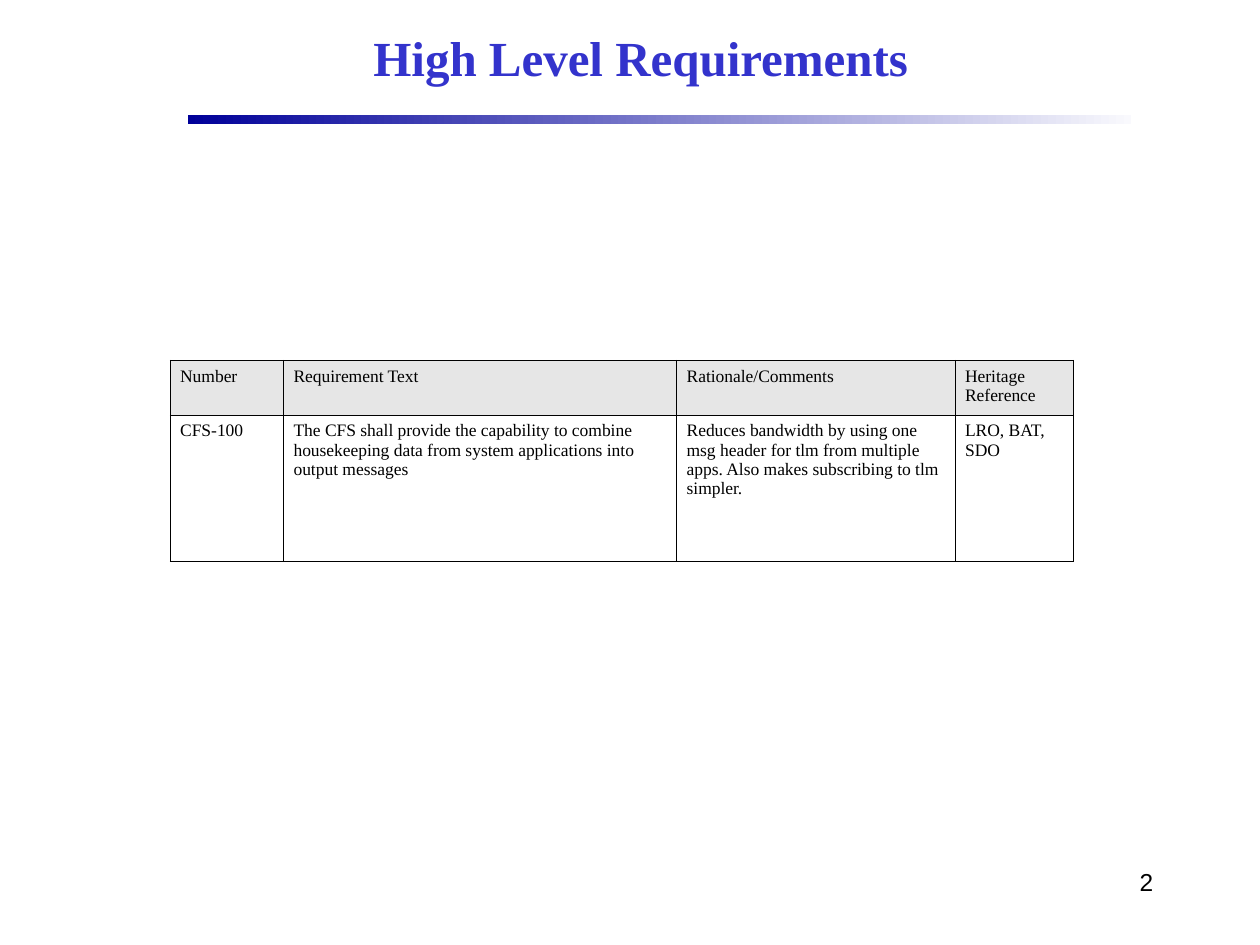
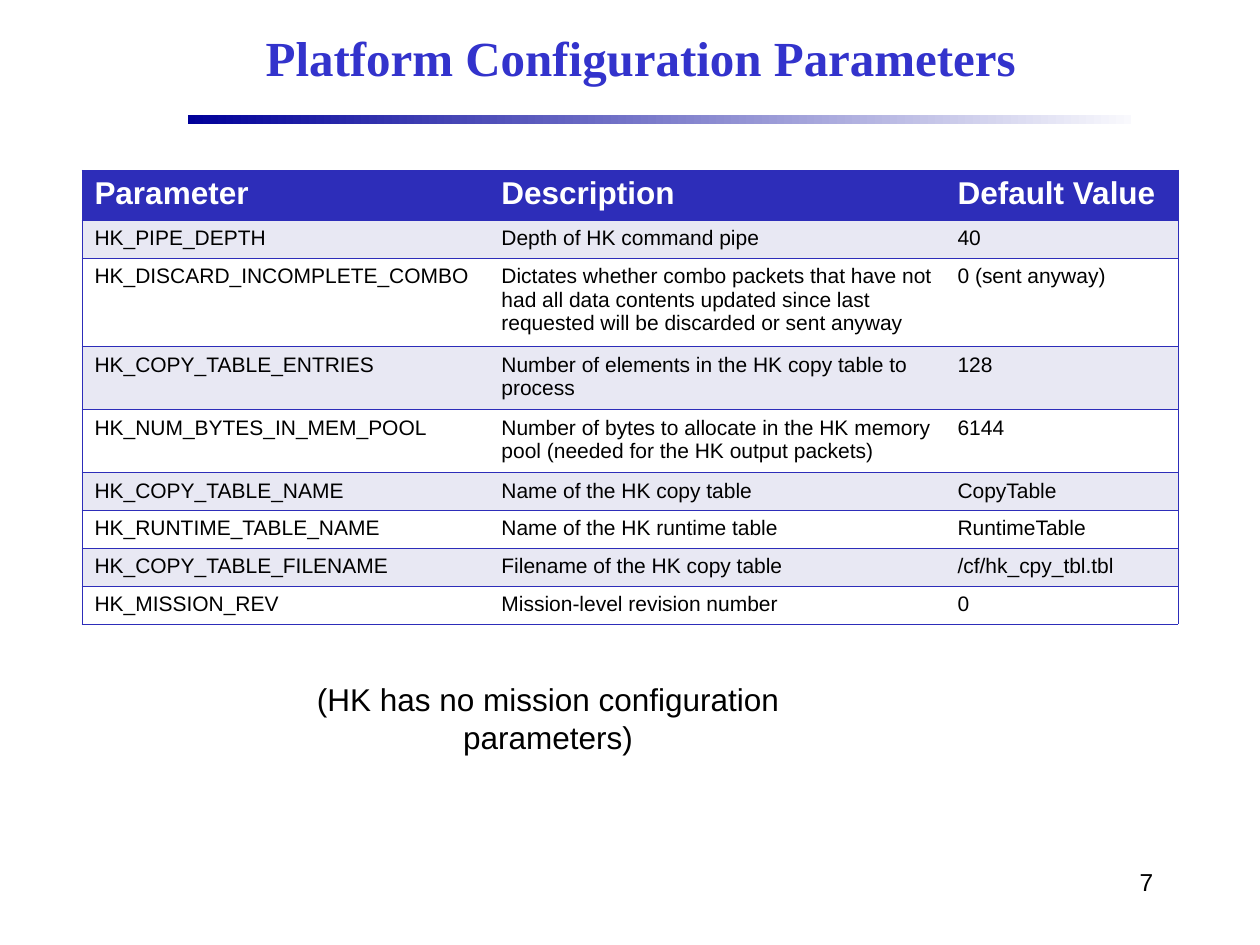
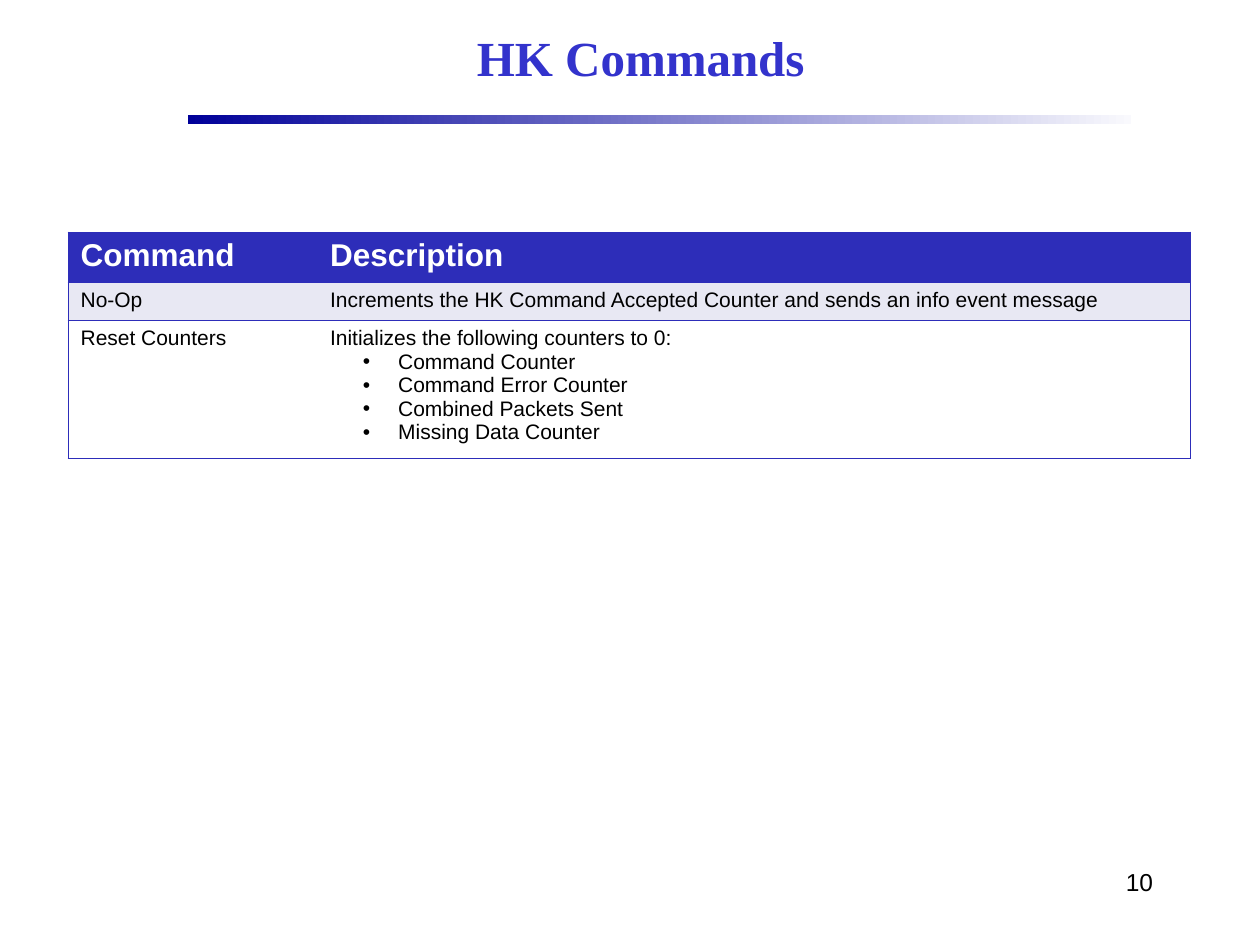
from lxml.etree import SubElement
from pptx import Presentation
from pptx.dml.color import RGBColor
from pptx.enum.shapes import MSO_SHAPE
from pptx.enum.text import MSO_ANCHOR, MSO_AUTO_SIZE, PP_ALIGN
from pptx.oxml.ns import qn
from pptx.util import Inches, Pt

COLUMNS, ROWS = 100, 75
UNIT = Inches(0.1)
SANS, SERIF = "Arial", "Times New Roman"
COLORS = {
    "title": "3333CC",
    "bar_start": "000099",
    "bar_end": "F9F9FD",
    "text": "000000",
    "white": "FFFFFF",
    "header": "2D2DB9",
    "band": "E8E8F3",
    "gray": "E6E6E6",
}
PLAIN_STYLE = {
    "font": SERIF, "size": 10, "header_size": 10, "header_bold": False,
    "header_color": "text", "header_fill": "gray", "row_fills": [None],
    "border": "text", "inner_verticals": True, "side_margin": 0.8,
}
BANDED_STYLE = {
    "font": SANS, "size": 12, "header_size": 18, "header_bold": True,
    "header_color": "white", "header_fill": "header", "row_fills": ["band", "white"],
    "border": "header", "inner_verticals": False, "side_margin": 1,
}

REQUIREMENTS = [
    ["Number", "Requirement Text", "Rationale/Comments", "Heritage Reference"],
    ["CFS-100",
     "The CFS shall provide the capability to combine housekeeping data from system "
     "applications into output messages",
     "Reduces bandwidth by using one msg header for tlm from multiple apps. "
     "Also makes subscribing to tlm simpler.",
     "LRO, BAT, SDO"],
]
PARAMETERS = [
    ["Parameter", "Description", "Default Value"],
    ["HK_PIPE_DEPTH", "Depth of HK command pipe", "40"],
    ["HK_DISCARD_INCOMPLETE_COMBO",
     "Dictates whether combo packets that have not had all data contents updated "
     "since last requested will be discarded or sent anyway",
     "0 (sent anyway)"],
    ["HK_COPY_TABLE_ENTRIES", "Number of elements in the HK copy table to process", "128"],
    ["HK_NUM_BYTES_IN_MEM_POOL",
     "Number of bytes to allocate in the HK memory pool (needed for the HK output packets)",
     "6144"],
    ["HK_COPY_TABLE_NAME", "Name of the HK copy table", "CopyTable"],
    ["HK_RUNTIME_TABLE_NAME", "Name of the HK runtime table", "RuntimeTable"],
    ["HK_COPY_TABLE_FILENAME", "Filename of the HK copy table", "/cf/hk_cpy_tbl.tbl"],
    ["HK_MISSION_REV", "Mission-level revision number", "0"],
]
COMMANDS = [
    ["Command", "Description"],
    ["No-Op", "Increments the HK Command Accepted Counter and sends an info event message"],
    ["Reset Counters",
     "Initializes the following counters to 0:\nCommand Counter\nCommand Error Counter\n"
     "Combined Packets Sent\nMissing Data Counter"],
]


def grid(count):
    return round(count * UNIT)


def grid_box(left, top, width, height):
    return [grid(count) for count in (left, top, width, height)]


def color(name):
    return RGBColor.from_string(COLORS[name])


def format_text(text_frame, font, size, color_name="text", bold=False, align=PP_ALIGN.LEFT):
    for paragraph in text_frame.paragraphs:
        paragraph.alignment = align
        for run in paragraph.runs:
            run.font.name = font
            run.font.size = Pt(size)
            run.font.bold = bold
            run.font.color.rgb = color(color_name)


def set_up_layout(layout, slide):
    title = layout.placeholders[0]
    title.left, title.top, title.width, title.height = grid_box(15, 0.8, 71.7, 7.5)
    bar = slide.shapes.add_shape(MSO_SHAPE.RECTANGLE, *grid_box(14.9, 9.15, 74.9, 0.7))
    bar.shadow.inherit = False
    bar.line.fill.background()
    bar.fill.gradient()
    bar.fill.gradient_angle = 0
    for stop, name in zip(bar.fill.gradient_stops, ("bar_start", "bar_end")):
        stop.color.rgb = color(name)
    layout.shapes.element.append(bar.element)


def add_text(slide, box, text, size, align):
    text_frame = slide.shapes.add_textbox(*grid_box(*box)).text_frame
    text_frame.text = text
    format_text(text_frame, SANS, size, align=align)
    return text_frame


def add_titled_slide(presentation, layout, title, number):
    slide = presentation.slides.add_slide(layout)
    text_frame = slide.shapes.title.text_frame
    text_frame.text = title
    text_frame.auto_size = MSO_AUTO_SIZE.NONE
    text_frame.vertical_anchor = MSO_ANCHOR.MIDDLE
    format_text(text_frame, SERIF, 28, "title", True, PP_ALIGN.CENTER)
    number_frame = add_text(slide, (71.7, 68.3, 20.8, 5), str(number), 14, PP_ALIGN.RIGHT)
    number_frame.word_wrap = True
    return slide


def set_border(cell, side, color_name):
    properties = cell._tc.get_or_add_tcPr()
    line = SubElement(properties, qn(f"a:ln{side}"), w=str(Pt(0.45)))
    if color_name:
        fill = SubElement(line, qn("a:solidFill"))
        SubElement(fill, qn("a:srgbClr"), val=COLORS[color_name])
    else:
        SubElement(line, qn("a:noFill"))


def add_bullet(paragraph):
    properties = paragraph._p.get_or_add_pPr()
    properties.set("marL", str(grid(5.4)))
    properties.set("indent", str(grid(-2.8)))
    SubElement(properties, qn("a:buFont"), typeface=SANS)
    SubElement(properties, qn("a:buChar"), char="•")


def fill_cell(cell, text, row, at_left, at_right, style):
    is_header = row == 0
    fills = style["row_fills"]
    fill_name = style["header_fill"] if is_header else fills[(row - 1) % len(fills)]
    cell.margin_left = cell.margin_right = grid(style["side_margin"])
    cell.margin_top = cell.margin_bottom = grid(0.5)
    for side, shown in (("L", at_left or style["inner_verticals"]),
                        ("R", at_right or style["inner_verticals"]),
                        ("T", True), ("B", True)):
        set_border(cell, side, style["border"] if shown else None)
    if fill_name:
        cell.fill.solid()
        cell.fill.fore_color.rgb = color(fill_name)
    else:
        cell.fill.background()
    cell.text_frame.text = text
    if is_header:
        format_text(cell.text_frame, style["font"], style["header_size"],
                    style["header_color"], style["header_bold"])
    else:
        format_text(cell.text_frame, style["font"], style["size"])
    for paragraph in cell.text_frame.paragraphs[1:]:
        add_bullet(paragraph)


def add_styled_table(slide, left, top, widths, heights, texts, style):
    box = grid_box(left, top, sum(widths), sum(heights))
    table = slide.shapes.add_table(len(heights), len(widths), *box).table
    table.first_row = table.horz_banding = False
    for column, width in zip(table.columns, widths):
        column.width = grid(width)
    for row, height in zip(table.rows, heights):
        row.height = grid(height)
    last = len(widths) - 1
    for row, row_texts in enumerate(texts):
        for column, text in enumerate(row_texts):
            fill_cell(table.cell(row, column), text, row, column == 0, column == last, style)


def main():
    presentation = Presentation()
    presentation.slide_width = grid(COLUMNS)
    presentation.slide_height = grid(ROWS)
    layout = presentation.slide_layouts[5]

    requirements = add_titled_slide(presentation, layout, "High Level Requirements", 2)
    set_up_layout(layout, requirements)
    add_styled_table(requirements, 13.5, 28.6, [9, 31.2, 22.1, 9.4], [4.1, 11.6],
                     REQUIREMENTS, PLAIN_STYLE)

    parameters = add_titled_slide(presentation, layout, "Platform Configuration Parameters", 7)
    add_styled_table(parameters, 6.5, 13.5, [32.3, 36.2, 18.5],
                     [4, 3, 7, 5, 5, 3, 3, 3, 3], PARAMETERS, BANDED_STYLE)
    add_text(parameters, (17.1, 53.5, 52.8, 4), "(HK has no mission configuration parameters)",
             18, PP_ALIGN.CENTER)

    commands = add_titled_slide(presentation, layout, "HK Commands", 10)
    add_styled_table(commands, 5.4, 18.4, [19.8, 69.3], [4, 3, 11], COMMANDS, BANDED_STYLE)

    presentation.save("out.pptx")


if __name__ == "__main__":
    main()
